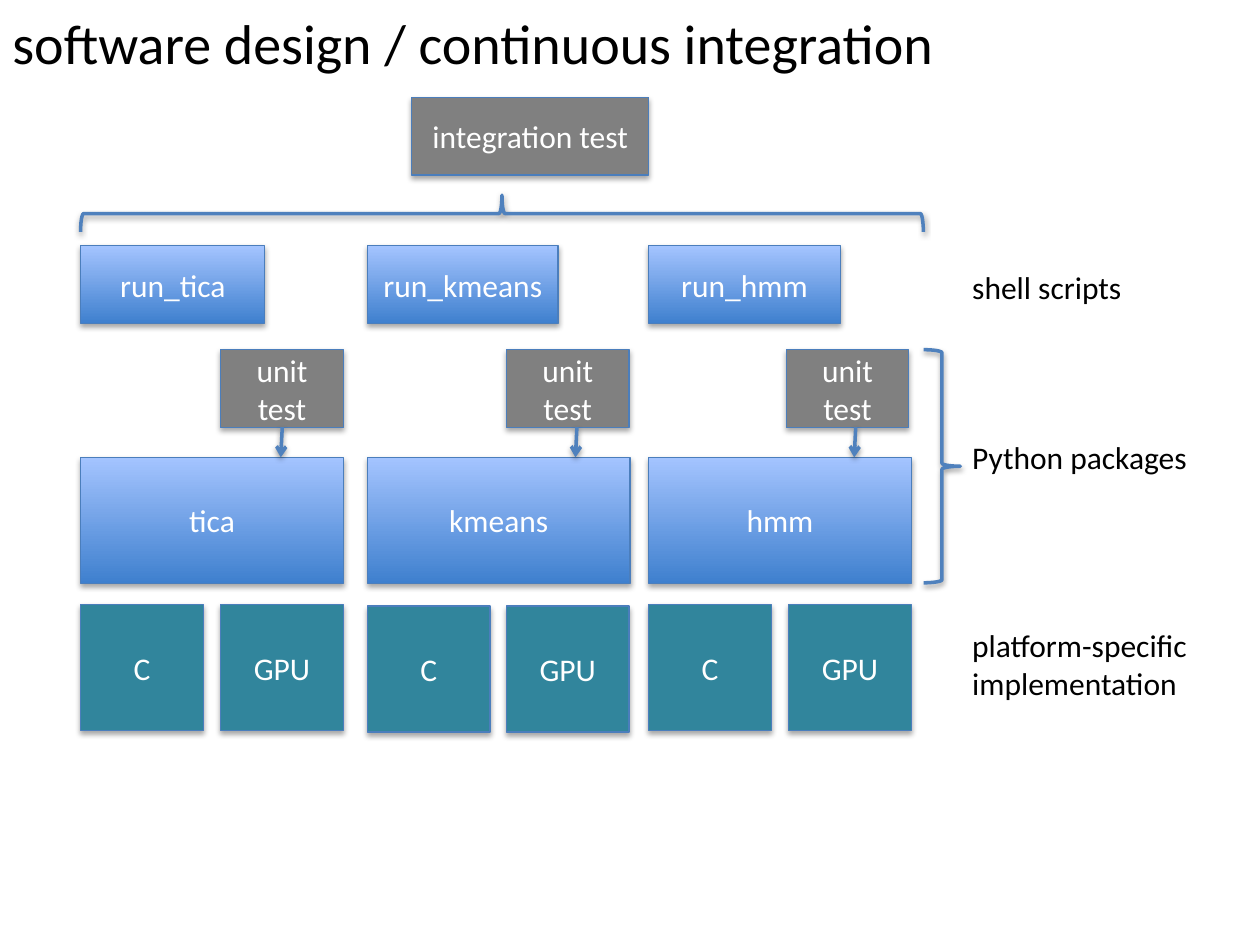
"""Build a slide on software design and continuous integration."""
from dataclasses import dataclass
from typing import Any

from lxml import etree
from pptx import Presentation
from pptx import util as u
from pptx.dml.color import RGBColor
from pptx.enum import shapes, text
from pptx.oxml import ns

WHITE = RGBColor(0xFF, 0xFF, 0xFF)
BLACK = RGBColor(0x00, 0x00, 0x00)
GREY = RGBColor(0x80, 0x80, 0x80)
TEAL = RGBColor(0x31, 0x85, 0x9C)
DEEP_BLUE = RGBColor(0x3F, 0x80, 0xCE)
PALE_BLUE = RGBColor(0xA4, 0xC4, 0xFF)
EDGE = RGBColor(0x4B, 0x7E, 0xBC)
STROKE = RGBColor(0x4F, 0x81, 0xBD)
GRADIENT = (DEEP_BLUE, PALE_BLUE)

BOX_HEIGHT = 1.57
SCRIPT_TOP = 4.95
TEST_TOP = 7.05
ARROW_TOP = 8.61
PACKAGE_TOP = 9.22
BLOCK_HEIGHT = 2.54
PACKAGE_WIDTH = 5.29
HALF_WIDTH = 2.47
LABEL_LEFT = 19.35
BRACE_WIDTH = 0.74


@dataclass(frozen=True)
class Area:
    left: float
    top: float
    width: float
    height: float

    def lengths(self) -> list[u.Length]:
        return [u.Cm(value) for value in (self.left, self.top, self.width, self.height)]


@dataclass(frozen=True)
class Module:
    name: str
    left: float
    script_width: float
    test_left: float
    gpu_left: float
    arrow_x: float
    platform_top: float


@dataclass(frozen=True)
class Label:
    lines: tuple[str, ...]
    area: Area
    size: int = 18
    wrap: bool = True


MODULES = (
    Module("tica", 1.63, 3.71, 4.45, 4.45, 5.69, 12.19),
    Module("kmeans", 7.41, 3.84, 10.21, 10.21, 11.63, 12.22),
    Module("hmm", 13.08, 3.86, 15.85, 15.9, 17.25, 12.19),
)
LABELS = (
    Label(("software design / continuous integration",), Area(0, 0.05, 19.35, 1.63), 32, False),
    Label(("shell scripts",), Area(LABEL_LEFT, 5.28, 5.31, 1.02)),
    Label(("Python packages",), Area(LABEL_LEFT, 8.71, 5.31, 1.02)),
    Label(("platform-specific", "implementation"), Area(LABEL_LEFT, 12.5, 5.31, 1.8)),
)


def set_values(target: Any, values: dict[str, Any]) -> None:
    for name, value in values.items():
        setattr(target, name, value)


def add_shadow(item: Any, distance: int, opacity: int) -> None:
    properties = item._element.spPr
    for old in properties.findall(ns.qn("a:effectLst")):
        properties.remove(old)
    effects = etree.SubElement(properties, ns.qn("a:effectLst"))
    shadow = etree.SubElement(
        effects, ns.qn("a:outerShdw"), blurRad="40000", dist=str(distance),
        dir="5400000", rotWithShape="0",
    )
    color = etree.SubElement(shadow, ns.qn("a:srgbClr"), val="000000")
    etree.SubElement(color, ns.qn("a:alpha"), val=str(opacity * 1000))


def write(frame: Any, lines: tuple[str, ...], size: int, color: RGBColor, align: Any) -> None:
    for index, line in enumerate(lines):
        para = frame.paragraphs[0] if index == 0 else frame.add_paragraph()
        para.alignment = align
        span = para.add_run()
        set_values(span, {"text": line})
        set_values(span.font, {"name": "Calibri", "size": u.Pt(size)})
        span.font.color.rgb = color


def draw_box(page: Any, caption: str, area: Area, fill: Any) -> None:
    box = page.shapes.add_shape(shapes.MSO_SHAPE.RECTANGLE, *area.lengths())
    if fill is GRADIENT:
        box.fill.gradient()
        box.fill.gradient_angle = 90
        for stop, color in zip(box.fill.gradient_stops, fill):
            stop.color.rgb = color
    else:
        box.fill.solid()
        box.fill.fore_color.rgb = fill
    box.line.color.rgb = EDGE
    box.line.width = u.Pt(0.75)
    add_shadow(box, 23000, 35)
    set_values(box.text_frame, {"word_wrap": True, "vertical_anchor": text.MSO_ANCHOR.MIDDLE})
    write(box.text_frame, (caption,), 18, WHITE, text.PP_ALIGN.CENTER)


def draw_label(page: Any, label: Label) -> None:
    box = page.shapes.add_textbox(*label.area.lengths())
    set_values(box.text_frame, {
        "word_wrap": label.wrap,
        "auto_size": text.MSO_AUTO_SIZE.SHAPE_TO_FIT_TEXT,
    })
    write(box.text_frame, label.lines, label.size, BLACK, text.PP_ALIGN.LEFT)


def style_stroke(item: Any) -> None:
    item.line.color.rgb = STROKE
    item.line.width = u.Pt(2)
    add_shadow(item, 20000, 38)


def draw_arrow(page: Any, x: float) -> None:
    arrow = page.shapes.add_connector(
        shapes.MSO_CONNECTOR.STRAIGHT,
        u.Cm(x), u.Cm(ARROW_TOP), u.Cm(x - 0.03), u.Cm(PACKAGE_TOP),
    )
    style_stroke(arrow)
    etree.SubElement(arrow.line._get_or_add_ln(), ns.qn("a:tailEnd"), type="arrow")


def draw_brace(page: Any, area: Area, rotation: int = 0) -> None:
    brace = page.shapes.add_shape(shapes.MSO_SHAPE.RIGHT_BRACE, *area.lengths())
    brace.rotation = rotation
    brace.fill.background()
    style_stroke(brace)


def draw_module(page: Any, module: Module) -> None:
    left, top = module.left, module.platform_top
    draw_box(page, module.name, Area(left, PACKAGE_TOP, PACKAGE_WIDTH, BLOCK_HEIGHT), GRADIENT)
    draw_box(page, f"run_{module.name}",
             Area(left, SCRIPT_TOP, module.script_width, BOX_HEIGHT), GRADIENT)
    draw_box(page, "unit test", Area(module.test_left, TEST_TOP, HALF_WIDTH, BOX_HEIGHT), GREY)
    draw_arrow(page, module.arrow_x)
    for platform, x in (("C", left), ("GPU", module.gpu_left)):
        draw_box(page, platform, Area(x, top, HALF_WIDTH, BLOCK_HEIGHT), TEAL)


def main() -> None:
    deck = Presentation()
    set_values(deck, {"slide_width": u.Cm(25.4), "slide_height": u.Cm(19.05)})
    page = deck.slides.add_slide(deck.slide_layouts[6])
    for label in LABELS:
        draw_label(page, label)
    draw_box(page, "integration test", Area(8.3, 1.96, 4.78, BOX_HEIGHT), GREY)
    for module in MODULES:
        draw_module(page, module)
    draw_brace(page, Area(18.62, TEST_TOP, BRACE_WIDTH, 4.7))
    draw_brace(page, Area(9.75, -4.19, BRACE_WIDTH, 16.99), 270)
    deck.save("out.pptx")


if __name__ == "__main__":
    main()
